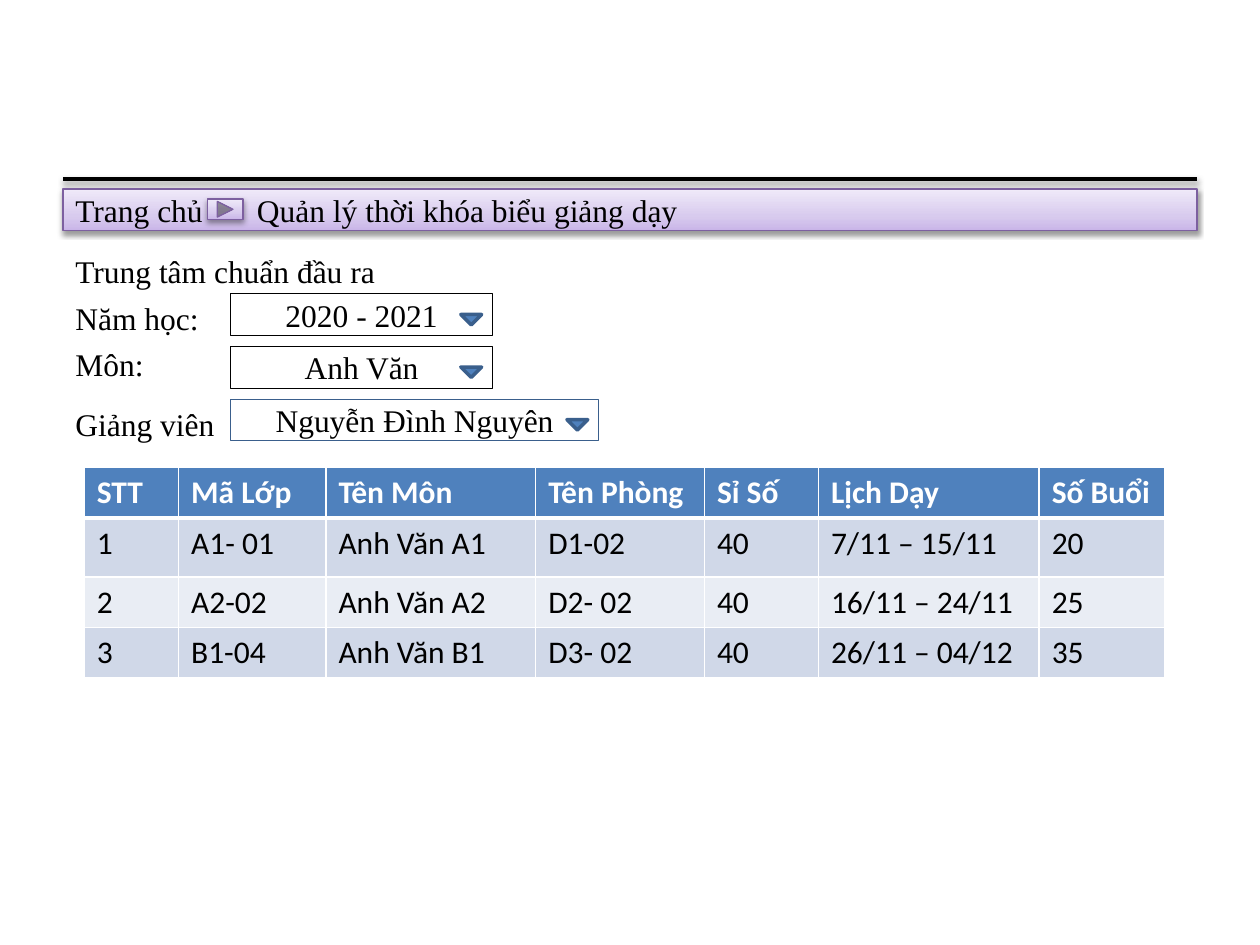
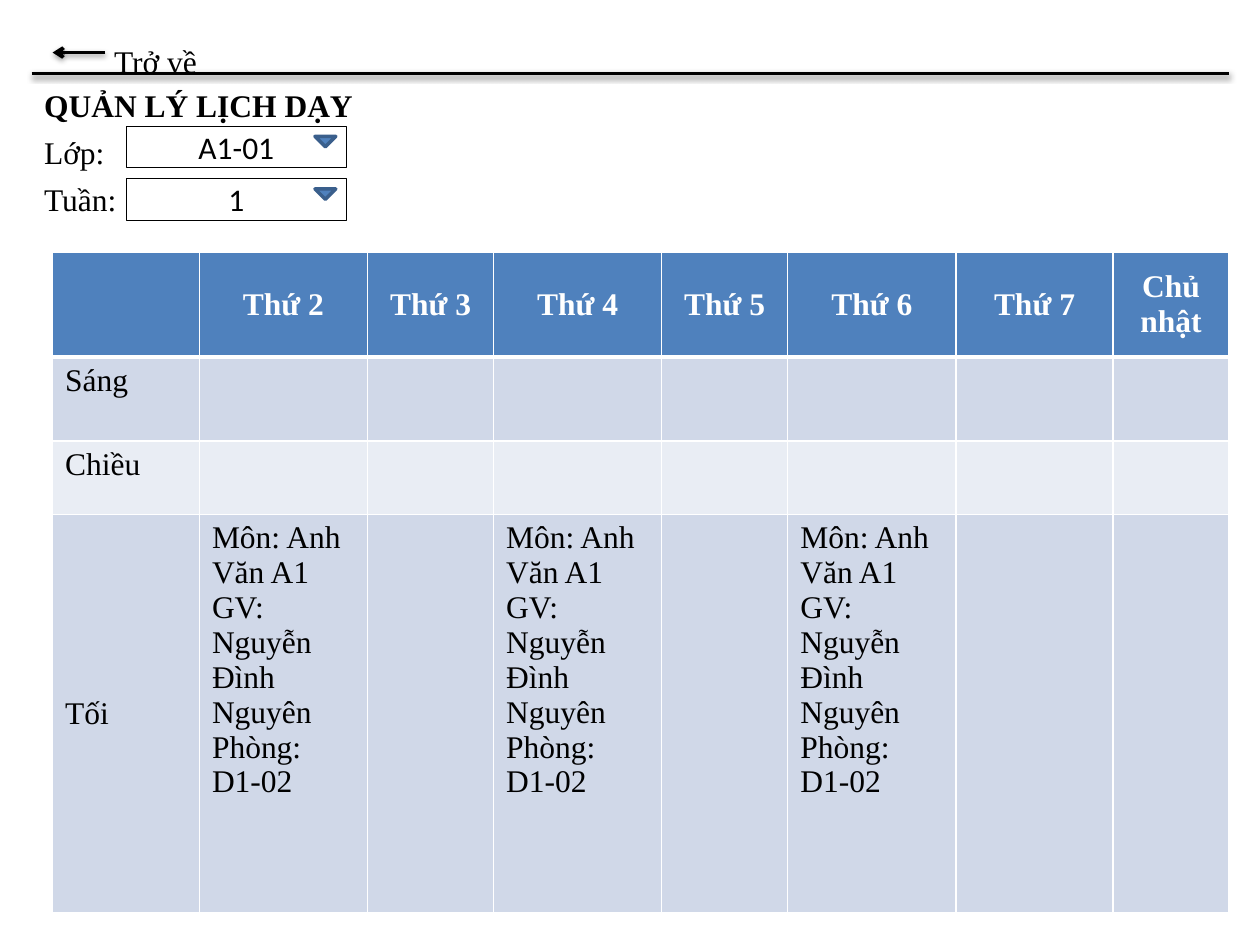
from copy import deepcopy
from dataclasses import dataclass

from lxml.etree import SubElement
from pptx import Presentation
from pptx.dml.color import RGBColor
from pptx.enum.shapes import MSO_CONNECTOR, MSO_SHAPE
from pptx.enum.text import MSO_ANCHOR, PP_ALIGN
from pptx.oxml.ns import qn
from pptx.util import Cm, Pt


@dataclass(frozen=True)
class Theme:
    ink: str = "000000"
    paper: str = "FFFFFF"
    accent: str = "4F81BD"
    accent_dark: str = "3A5F8C"
    purple: str = "7D60A0"
    bar_stops: tuple = ((0, "C9B5E8"), (0.35, "D8CBEE"), (1, "F0EAF9"))
    bands: tuple = ("D0D8E8", "E9EDF4")
    serif: str = "Times New Roman"
    sans: str = "Calibri"
    size: float = 18
    gap: float = 5.2
    heavy: float = 2
    hairline: float = 0.25


def rgb(code):
    return RGBColor.from_string(code)


def cms(*lengths):
    return [Cm(length) for length in lengths]


def add_shadow(effects):
    shadow = SubElement(effects, qn("a:outerShdw"), blurRad="40000",
                        dist="20000", dir="5400000", rotWithShape="0")
    black = SubElement(shadow, qn("a:srgbClr"), val="000000")
    SubElement(black, qn("a:alpha"), val="38000")


class ScreenBuilder:
    """Draws the mock-up screens; all lengths are in centimetres."""

    def __init__(self, deck, theme):
        self.deck = deck
        self.theme = theme
        self.slide = None

    def new_screen(self):
        self.slide = self.deck.slides.add_slide(self.deck.slide_layouts[6])

    def style_text(self, frame, font=None, color=None, bold=False,
                   align=PP_ALIGN.LEFT):
        for paragraph in frame.paragraphs:
            paragraph.alignment = align
            paragraph.font.name = font or self.theme.serif
            paragraph.font.size = Pt(self.theme.size)
            paragraph.font.bold = bold
            paragraph.font.color.rgb = rgb(color or self.theme.ink)

    def text(self, left, top, width, *lines):
        box = self.slide.shapes.add_textbox(
            *cms(left, top, width, 0.9 * len(lines)))
        frame = box.text_frame
        frame.word_wrap = True
        frame.text = "\n".join(lines)
        self.style_text(frame)
        for paragraph in frame.paragraphs[1:]:
            paragraph.space_before = Pt(self.theme.gap)
        return frame

    def line(self, start, end, arrow=False):
        connector = self.slide.shapes.add_connector(
            MSO_CONNECTOR.STRAIGHT, *cms(*start, *end))
        connector.line.color.rgb = rgb(self.theme.ink)
        connector.line.width = Pt(self.theme.heavy)
        properties = connector._element.spPr
        if arrow:
            SubElement(properties.find(qn("a:ln")), qn("a:tailEnd"),
                       type="arrow")
        add_shadow(SubElement(properties, qn("a:effectLst")))

    def shape(self, kind, box, outline, width, fill=None):
        shape = self.slide.shapes.add_shape(kind, *cms(*box))
        shape.shadow.inherit = False
        shape.line.color.rgb = rgb(outline)
        shape.line.width = Pt(width)
        if fill:
            shape.fill.solid()
            shape.fill.fore_color.rgb = rgb(fill)
        return shape

    def purple_shape(self, kind, *box):
        """A raised shape with the navigation bar's gradient."""
        shape = self.shape(kind, box, self.theme.purple, 0.75)
        shape.fill.gradient()
        shape.fill.gradient_angle = 90
        properties = shape._element.spPr
        stops = properties.find(f".//{qn('a:gsLst')}")
        stops.append(deepcopy(stops[0]))
        for stop, (position, color) in zip(shape.fill.gradient_stops,
                                           self.theme.bar_stops):
            stop.position = position
            stop.color.rgb = rgb(color)
        add_shadow(properties.find(qn("a:effectLst")))
        return shape

    def breadcrumb(self, home, page):
        bar = self.purple_shape(MSO_SHAPE.RECTANGLE, 1.27, 3.81, 22.86, 0.84)
        frame = bar.text_frame
        frame.text = f"{home}\t{page}"
        frame.vertical_anchor = MSO_ANCHOR.MIDDLE
        self.style_text(frame)
        tabs = SubElement(frame.paragraphs[0]._p.get_or_add_pPr(),
                          qn("a:tabLst"))
        # A tab list has to stand before the default run properties.
        tabs.getparent().insert(0, tabs)
        SubElement(tabs, qn("a:tab"), pos=str(Cm(3.66)), algn="l")
        self.purple_shape(MSO_SHAPE.ACTION_BUTTON_FORWARD_OR_NEXT,
                          4.18, 4.01, 0.72, 0.42)

    def dropdown(self, left, top, width, value, arrow_drop, font=None,
                 outline=None):
        field = self.shape(MSO_SHAPE.RECTANGLE, (left, top, width, 0.84),
                           outline or self.theme.ink, self.theme.hairline,
                           self.theme.paper)
        field.text_frame.text = value
        field.text_frame.vertical_anchor = MSO_ANCHOR.MIDDLE
        self.style_text(field.text_frame, font, align=PP_ALIGN.CENTER)
        self.shape(MSO_SHAPE.FLOWCHART_MERGE,
                   (left + width - 0.64, top + arrow_drop, 0.42, 0.21),
                   self.theme.accent_dark, self.theme.heavy,
                   self.theme.accent)

    def cell_borders(self, cell, row):
        widths = {"L": 1, "R": 1, "T": 3 if row == 1 else 1,
                  "B": 3 if row == 0 else 1}
        properties = cell._tc.get_or_add_tcPr()
        for side, width in widths.items():
            edge = SubElement(properties, qn(f"a:ln{side}"), w=str(Pt(width)))
            fill = SubElement(edge, qn("a:solidFill"))
            SubElement(fill, qn("a:srgbClr"), val=self.theme.paper)

    def table(self, left, top, widths, heights, rows, font,
              header_align=PP_ALIGN.LEFT, header_anchor=MSO_ANCHOR.TOP):
        grid = self.slide.shapes.add_table(
            len(rows), len(widths),
            *cms(left, top, sum(widths), sum(heights))).table
        for column, width in zip(grid.columns, widths):
            column.width = Cm(width)
        for r, (values, height) in enumerate(zip(rows, heights)):
            grid.rows[r].height = Cm(height)
            header = r == 0
            for c, value in enumerate(values):
                cell = grid.cell(r, c)
                cell.text = value
                self.cell_borders(cell, r)
                cell.fill.solid()
                cell.fill.fore_color.rgb = rgb(
                    self.theme.accent if header
                    else self.theme.bands[(r - 1) % 2])
                cell.vertical_anchor = (header_anchor if header
                                        else MSO_ANCHOR.TOP)
                self.style_text(
                    cell.text_frame, font,
                    self.theme.paper if header else self.theme.ink, header,
                    header_align if header else PP_ALIGN.LEFT)
        return grid


def teaching_timetable(screen):
    screen.new_screen()
    screen.line((1.27, 3.61), (24.13, 3.61))
    screen.breadcrumb("Trang chủ", "Quản lý thời khóa biểu giảng dạy")
    screen.text(1.27, 4.95, 8, "Trung tâm chuẩn đầu ra", "Năm học:", "Môn:")
    screen.text(1.27, 8.04, 3.35, "Giảng viên")

    filters = (("2020 - 2021", 5.28, None), ("Anh Văn", 5.28, None),
               ("Nguyễn Đình Nguyên", 7.42, screen.theme.accent_dark))
    for i, (value, width, outline) in enumerate(filters):
        screen.dropdown(4.65, 5.92 + 1.06 * i, width, value, 0.42,
                        outline=outline)

    classes = (
        ("STT", "Mã Lớp", "Tên Môn", "Tên Phòng", "Sỉ Số", "Lịch Dạy",
         "Số Buổi"),
        ("1", "A1- 01", "Anh Văn A1", "D1-02", "40", "7/11 – 15/11", "20"),
        ("2", "A2-02", "Anh Văn A2", "D2- 02", "40", "16/11 – 24/11", "25"),
        ("3", "B1-04", "Anh Văn B1", "D3- 02", "40", "26/11 – 04/12", "35"),
    )
    screen.table(1.7, 9.42, (1.9, 2.97, 4.23, 3.4, 2.3, 4.45, 2.54),
                 (1.02, 1.19, 1.02, 1.02), classes, screen.theme.sans)


def weekly_schedule(screen):
    screen.new_screen()
    screen.text(2.05, 0.72, 4, "Trở về")
    heading = screen.text(0.64, 1.61, 10, "QUẢN LÝ LỊCH DẠY", "Lớp:", "Tuần:")
    heading.paragraphs[0].font.bold = True
    screen.line((0.64, 1.48), (24.77, 1.48))
    screen.line((2.12, 1.06), (1.06, 1.06), arrow=True)

    days = ("", *(f"Thứ {day}" for day in range(2, 8)), "Chủ nhật")
    lesson = "Môn: Anh Văn A1\nGV: Nguyễn Đình Nguyên\nPhòng:\nD1-02"
    free = ("",) * 7
    evenings = (lesson, "", lesson, "", lesson, "", "")
    sessions = (days, ("Sáng", *free), ("Chiều", *free), ("Tối", *evenings))
    week = screen.table(
        1.06, 5.08, (2.96, 3.39, 2.54, 3.39, 2.54, 3.39, 3.17, 2.33),
        (2.12, 1.69, 1.48, 8.04), sessions, screen.theme.serif,
        PP_ALIGN.CENTER, MSO_ANCHOR.MIDDLE)
    week.cell(3, 0).vertical_anchor = MSO_ANCHOR.MIDDLE

    for i, value in enumerate(("A1-01", "1")):
        screen.dropdown(2.54, 2.54 + 1.06 * i, 4.45, value, 0.21,
                        screen.theme.sans)


def main():
    deck = Presentation()
    deck.slide_width, deck.slide_height = cms(25.4, 19.05)
    screen = ScreenBuilder(deck, Theme())
    teaching_timetable(screen)
    weekly_schedule(screen)
    deck.save("out.pptx")


if __name__ == "__main__":
    main()
